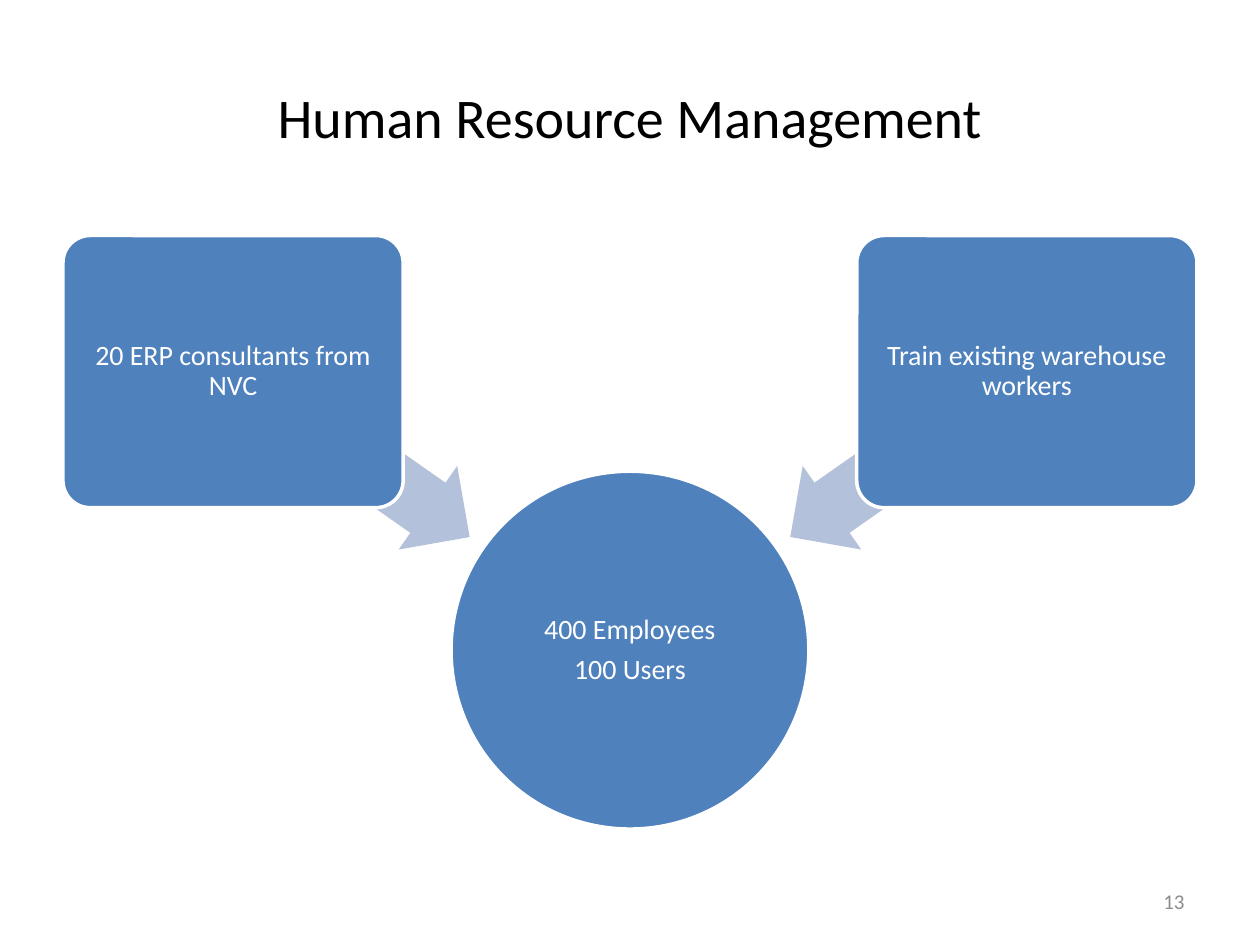
from dataclasses import dataclass

from pptx import Presentation
from pptx.dml.color import RGBColor
from pptx.enum.shapes import MSO_SHAPE as Kind
from pptx.enum.text import MSO_ANCHOR as Anchor, PP_ALIGN as Align
from pptx.util import Inches, Pt

WIDE, HIGH = Inches(10), Inches(7.5)
BLUE, PALE, WHITE, BLACK, GREY = "4F81BD", "B3C1DB", "FFFFFF", "000000", "8C8C8C"


@dataclass
class Area:
    """A place in percent of the slide's width and height."""
    left: float
    top: float
    width: float
    height: float

    def flip(self) -> "Area":
        """Mirror the place about the slide's middle."""
        return Area(100 - self.left - self.width, self.top, self.width, self.height)

    def spans(self) -> tuple:
        """Turn the shares into lengths."""
        return (int(WIDE * self.left / 100), int(HIGH * self.top / 100),
                int(WIDE * self.width / 100), int(HIGH * self.height / 100))


@dataclass
class Source:
    """A box and the arrow that leads from it to the hub."""
    text: str
    box: Area
    arrow: Area
    turn: int


BOX = Area(5, 24.93, 27, 28.8)
ARROW = Area(16.45, 42.67, 22.9, 10.8)
SOURCES = [
    Source("20 ERP consultants from NVC", BOX, ARROW, 215),
    Source("Train existing warehouse workers", BOX.flip(), ARROW.flip(), 325),
]


def tint(code: str) -> RGBColor:
    """Make a colour from a hex string."""
    return RGBColor.from_string(code)


def write(shape, lines: list, size: int, color: str, align: Align, gap: float = 0) -> None:
    """Write one paragraph a line, centred in height."""
    frame = shape.text_frame
    frame.word_wrap = True
    frame.vertical_anchor = Anchor.MIDDLE
    for i, line in enumerate(lines):
        para = frame.add_paragraph() if i else frame.paragraphs[0]
        para.alignment = align
        if gap:
            para.line_spacing = 0.9
            para.space_after = Pt(gap)
        run = para.add_run()
        run.text = line
        run.font.name = "Calibri"
        run.font.size = Pt(size)
        run.font.color.rgb = tint(color)


def label(slide, area: Area, text: str, size: int, color: str, align: Align) -> None:
    """Add a plain text box."""
    write(slide.shapes.add_textbox(*area.spans()), [text], size, color, align)


def solid(slide, kind: Kind, area: Area, fill: str):
    """Add a flat shape without an outline."""
    shape = slide.shapes.add_shape(kind, *area.spans())
    shape.shadow.inherit = False
    shape.fill.solid()
    shape.fill.fore_color.rgb = tint(fill)
    shape.line.fill.background()
    return shape


def node(slide, kind: Kind, area: Area, lines: list, inset: float) -> None:
    """Add a blue shape with a white rim and white text."""
    shape = solid(slide, kind, area, BLUE)
    shape.line.color.rgb = tint(WHITE)
    shape.line.width = Pt(2)
    if kind == Kind.ROUNDED_RECTANGLE:
        shape.adjustments[0] = 0.1
    frame = shape.text_frame
    frame.margin_left = frame.margin_right = Inches(inset)
    frame.margin_top = frame.margin_bottom = Inches(inset)
    write(shape, lines, 16, WHITE, Align.CENTER, 5.6)


def arrow(slide, area: Area, turn: int) -> None:
    """Add a turned block arrow."""
    shape = solid(slide, Kind.LEFT_ARROW, area, PALE)
    shape.adjustments[0] = 0.6
    shape.adjustments[1] = 0.5
    shape.rotation = turn


def main() -> None:
    """Build and save the slide."""
    deck = Presentation()
    deck.slide_width, deck.slide_height = WIDE, HIGH
    slide = deck.slides.add_slide(deck.slide_layouts[6])
    label(slide, Area(5, 4, 90, 16.67), "Human Resource Management", 32, BLACK, Align.CENTER)
    label(slide, Area(71.67, 92.67, 23.33, 5.33), "13", 12, GREY, Align.RIGHT)
    node(slide, Kind.OVAL, Area(35.8, 49.87, 28.4, 37.87), ["400 Employees", "100 Users"], 0)
    for item in SOURCES:
        arrow(slide, item.arrow, item.turn)
        node(slide, Kind.ROUNDED_RECTANGLE, item.box, [item.text], 0.04)
    deck.save("out.pptx")


if __name__ == "__main__":
    main()
